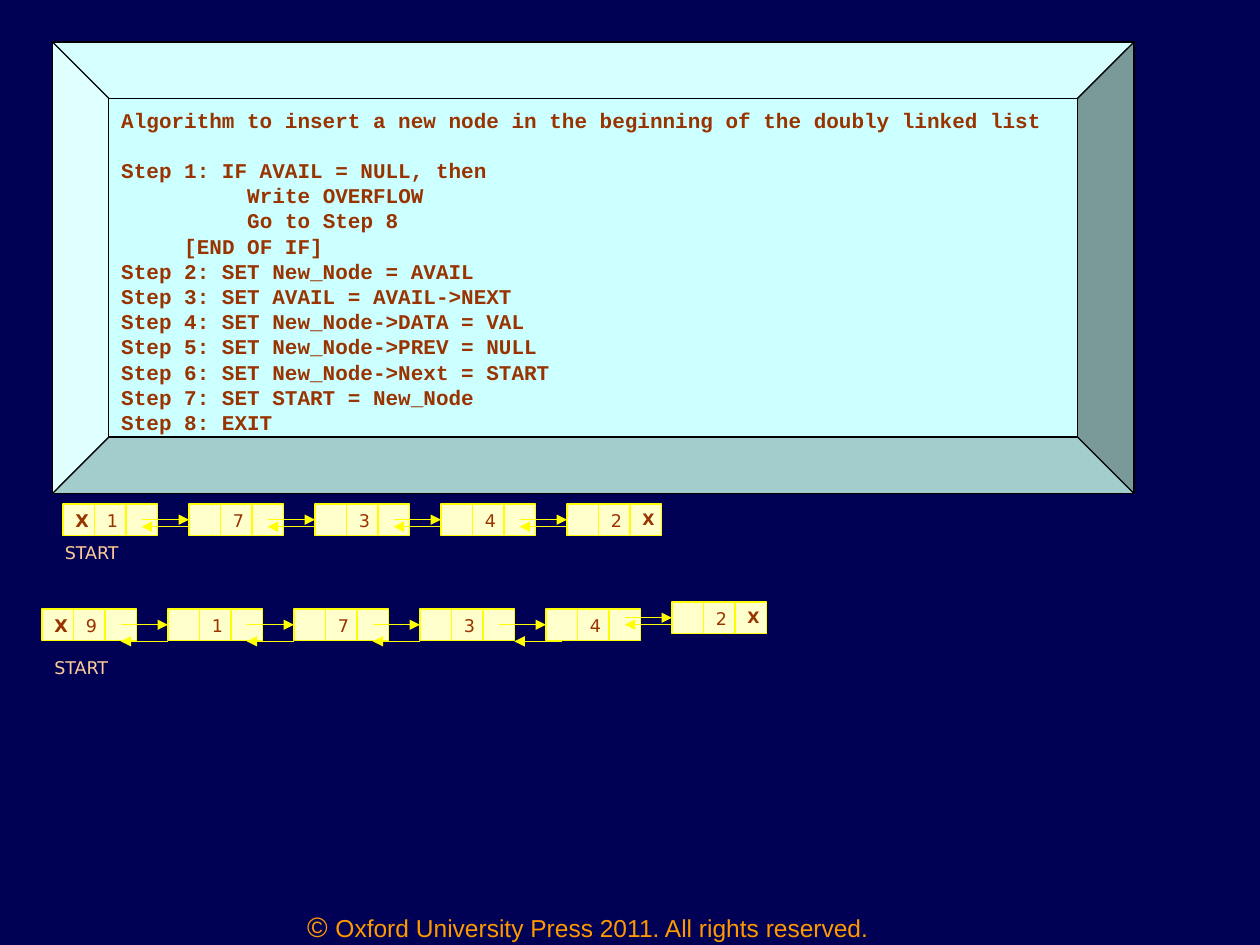
from dataclasses import dataclass

from lxml import etree
from pptx import Presentation
from pptx import util as u
from pptx.dml.color import RGBColor
from pptx.enum import shapes, text
from pptx.oxml.ns import qn

Pt = u.Pt


@dataclass(frozen=True)
class Theme:
    background: str = "000055"
    panel: str = "CCFFFF"
    outline: str = "000000"
    cell: str = "FFFFCC"
    link: str = "FFFF00"
    ink: str = "993300"
    label: str = "FFCC99"
    footer: str = "FF9900"
    code_font: str = "Courier New"
    node_font: str = "DejaVu Sans"
    footer_font: str = "Arial"
    code_size: float = 12
    node_size: float = 10
    end_size: float = 9
    footer_size: float = 14
    symbol_size: float = 16
    line_width: float = 0.75


theme = Theme()


def set_font(paragraph, name, size, color, bold=False):
    paragraph.font.name = name
    paragraph.font.size = Pt(size)
    paragraph.font.bold = bold
    paragraph.font.color.rgb = RGBColor.from_string(color)


def add_arrow(group, start, end, y):
    arrow = group.shapes.add_connector(
        shapes.MSO_CONNECTOR.STRAIGHT, Pt(start), Pt(y), Pt(end), Pt(y))
    arrow.line.color.rgb = RGBColor.from_string(theme.link)
    arrow.line.width = Pt(theme.line_width)
    etree.SubElement(arrow.line._get_or_add_ln(), qn("a:tailEnd"), type="triangle")
    etree.SubElement(arrow._element.spPr, qn("a:effectLst"))


presentation = Presentation()
presentation.slide_width, presentation.slide_height = Pt(720), Pt(540)
slide = presentation.slides.add_slide(presentation.slide_layouts[6])
slide.background.fill.solid()
slide.background.fill.fore_color.rgb = RGBColor.from_string(theme.background)

# Footer
footer = slide.shapes.add_textbox(Pt(144), Pt(516), Pt(384), Pt(24))
footer.text_frame.word_wrap = True
paragraph = footer.text_frame.paragraphs[0]
paragraph.alignment = text.PP_ALIGN.CENTER
set_font(paragraph, theme.footer_font, theme.footer_size, theme.footer)
symbol = paragraph.add_run()
symbol.text = "© "
symbol.font.size = Pt(theme.symbol_size)
paragraph.add_run().text = "Oxford University Press 2011. All rights reserved."

# Algorithm panel
algorithm = [
    "Algorithm to insert a new node in the beginning of the doubly linked list",
    "Step 1: IF AVAIL = NULL, then",
    "\t\tWrite OVERFLOW",
    "\t\tGo to Step 8",
    "\t[END OF IF]",
    "Step 2: SET New_Node = AVAIL",
    "Step 3: SET AVAIL = AVAIL->NEXT",
    "Step 4: SET New_Node->DATA = VAL",
    "Step 5: SET New_Node->PREV = NULL",
    "Step 6: SET New_Node->Next = START",
    "Step 7: SET START = New_Node",
    "Step 8: EXIT",
]
line_height = 14.4
panel = slide.shapes.add_shape(
    shapes.MSO_SHAPE.BEVEL, Pt(30), Pt(24), Pt(618), Pt(258))
panel.adjustments[0] = 0.125
panel.shadow.inherit = False
panel.fill.solid()
panel.fill.fore_color.rgb = RGBColor.from_string(theme.panel)
panel.line.color.rgb = RGBColor.from_string(theme.outline)
panel.line.width = Pt(theme.line_width)
frame = panel.text_frame
frame.word_wrap = True
frame.vertical_anchor = text.MSO_ANCHOR.TOP
frame.margin_top, frame.margin_bottom = Pt(5), Pt(0)
frame.text = "\n".join(algorithm)
for paragraph in frame.paragraphs:
    paragraph.alignment = text.PP_ALIGN.LEFT
    paragraph.line_spacing = Pt(line_height)
    set_font(paragraph, theme.code_font, theme.code_size, theme.ink, bold=True)
frame.paragraphs[1].space_before = Pt(line_height)

# Linked lists before and after the insertion
cell_size, pitch, arrow_length = 18, 72, 27
linked_lists = [
    # left, top, values, rise of last node, drop of back links, shift of last level one
    (36, 288, "17342", 0, 13, 0),
    (24, 348, "917342", 4, 18.5, 9),
]
for left, top, values, rise, drop, shift in linked_lists:
    group = slide.shapes.add_group_shape()
    last = len(values) - 1

    # Nodes: data, next and previous cells
    for index, value in enumerate(values):
        node_left = left + index * pitch
        node_top = top - rise if index == last else top
        cells = [
            (1, value, theme.node_size, False),
            (2, "X" if index == last else "", theme.end_size, True),
            (0, "X" if index == 0 else "", theme.node_size, True),
        ]
        for column, content, size, bold in cells:
            cell = group.shapes.add_shape(
                shapes.MSO_SHAPE.RECTANGLE, Pt(node_left + column * cell_size),
                Pt(node_top), Pt(cell_size), Pt(cell_size))
            cell.shadow.inherit = False
            cell.fill.solid()
            cell.fill.fore_color.rgb = RGBColor.from_string(theme.cell)
            cell.line.color.rgb = RGBColor.from_string(theme.link)
            cell.line.width = Pt(theme.line_width)
            if content:
                cell.text_frame.vertical_anchor = text.MSO_ANCHOR.TOP
                paragraph = cell.text_frame.paragraphs[0]
                paragraph.text = content
                paragraph.alignment = text.PP_ALIGN.LEFT
                set_font(paragraph, theme.node_font, size, theme.ink, bold)

    # Links to the next and the previous node
    for index in range(1, last + 1):
        end = left + index * pitch
        start = end - arrow_length
        link_top = top - rise if index == last else top
        back_drop = 13 if index == last else drop
        back_shift = shift if index == last - 1 else 0
        add_arrow(group, start, end, link_top + 9)
        add_arrow(group, end + back_shift, start + back_shift, link_top + back_drop)

# Start labels
for left, top in [(30, 306), (24, 372)]:
    label = slide.shapes.add_textbox(Pt(left), Pt(top), Pt(144), Pt(19.4))
    label.text_frame.word_wrap = True
    label.text_frame.auto_size = text.MSO_AUTO_SIZE.SHAPE_TO_FIT_TEXT
    label.text_frame.vertical_anchor = text.MSO_ANCHOR.MIDDLE
    paragraph = label.text_frame.paragraphs[0]
    paragraph.text = "START"
    set_font(paragraph, theme.node_font, theme.node_size, theme.label)

presentation.save("out.pptx")
